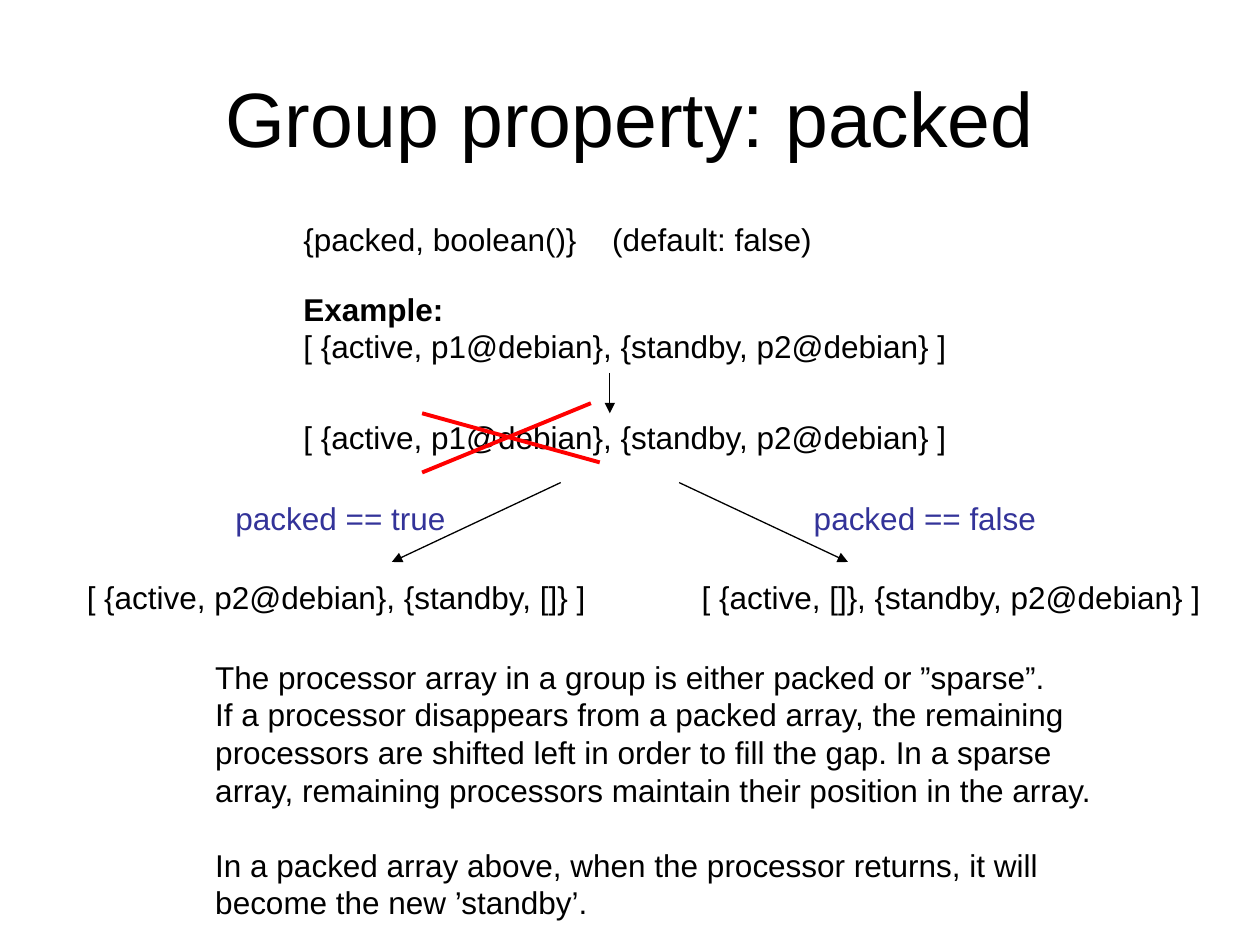
from lxml.etree import SubElement
from pptx import Presentation
from pptx.dml.color import RGBColor
from pptx.enum.shapes import MSO_CONNECTOR
from pptx.enum.text import MSO_ANCHOR, PP_ALIGN
from pptx.oxml.ns import qn
from pptx.util import Inches, Pt

BLACK, RED, BLUE = "000000", "FF0000", "333399"
ROW = 0.4
EXAMPLE_X, BRANCH_Y, RESULT_Y = 2.31, 3.91, 4.54
TAB = 2.45
GROUP = "[ {active, p1@debian}, {standby, p2@debian} ]"

TITLE = "Group property: packed"
TEXTS = [
    (EXAMPLE_X, 1.7, 4.35, ROW, BLACK, ["{packed, boolean()}\t(default: false)"]),
    (EXAMPLE_X, 2.25, 5.4, 0.7, BLACK, ["Example:", GROUP]),
    (EXAMPLE_X, 3.27, 5.4, ROW, BLACK, [GROUP]),
    (1.77, BRANCH_Y, 2.05, ROW, BLUE, ["packed == true"]),
    (6.36, BRANCH_Y, 2.05, ROW, BLUE, ["packed == false"]),
    (0.59, RESULT_Y, 4.25, ROW, BLACK, ["[ {active, p2@debian}, {standby, []} ]"]),
    (5.47, RESULT_Y, 4.25, ROW, BLACK, ["[ {active, []}, {standby, p2@debian} ]"]),
    (1.61, 5.17, 7.25, 2.2, BLACK, [
        "The processor array in a group is either packed or ”sparse”.",
        "If a processor disappears from a packed array, the remaining\n"
        "processors are shifted left in order to fill the gap. In a sparse\n"
        "array, remaining processors maintain their position in the array.",
        "In a packed array above, when the processor returns, it will\n"
        "become the new ’standby’.",
    ]),
]
BOLD = {"Example:"}
SPACE_BEFORE = {TEXTS[-1][-1][-1]: 21}
CROSS = [(3.35, 3.28, 4.76, 3.67), (3.35, 3.75, 4.69, 3.2)]
ARROWS = [
    (4.84, 2.96, 4.84, 3.28),
    (4.45, 3.83, 3.11, 4.46),
    (5.39, 3.83, 6.73, 4.46),
]


def rgb(color):
    return RGBColor.from_string(color)


def add_text(s, x, y, w, h, color, lines, size=18):
    tf = s.shapes.add_textbox(*map(Inches, (x, y, w, h))).text_frame
    tf.word_wrap = True
    for i, line in enumerate(lines):
        p = tf.add_paragraph() if i else tf.paragraphs[0]
        p.text = line
        if "\t" in line:
            tabs = SubElement(p._p.get_or_add_pPr(), qn("a:tabLst"))
            SubElement(tabs, qn("a:tab"), pos=str(Inches(TAB)), algn="l")
        p.font.name = "Arial"
        p.font.size = Pt(size)
        p.font.bold = line in BOLD
        p.font.color.rgb = rgb(color)
        if line in SPACE_BEFORE:
            p.space_before = Pt(SPACE_BEFORE[line])
    return tf


def add_line(s, ends, color, width, arrow=False):
    sp = s.shapes.add_connector(MSO_CONNECTOR.STRAIGHT, *map(Inches, ends))
    sp.line.color.rgb = rgb(color)
    sp.line.width = Pt(width)
    if arrow:
        SubElement(sp.line._get_or_add_ln(), qn("a:tailEnd"), type="triangle")
    SubElement(sp._element.spPr, qn("a:effectLst"))


prs = Presentation()
prs.slide_width, prs.slide_height = Inches(10), Inches(7.5)
s = prs.slides.add_slide(prs.slide_layouts[6])

tf = add_text(s, 0.5, 0.3, 9, 1.25, BLACK, [TITLE], 44)
tf.vertical_anchor = MSO_ANCHOR.MIDDLE
tf.paragraphs[0].alignment = PP_ALIGN.CENTER

for text in TEXTS:
    add_text(s, *text)
for ends in CROSS:
    add_line(s, ends, RED, 2.25)
for ends in ARROWS:
    add_line(s, ends, BLACK, 0.75, arrow=True)

prs.save("out.pptx")
